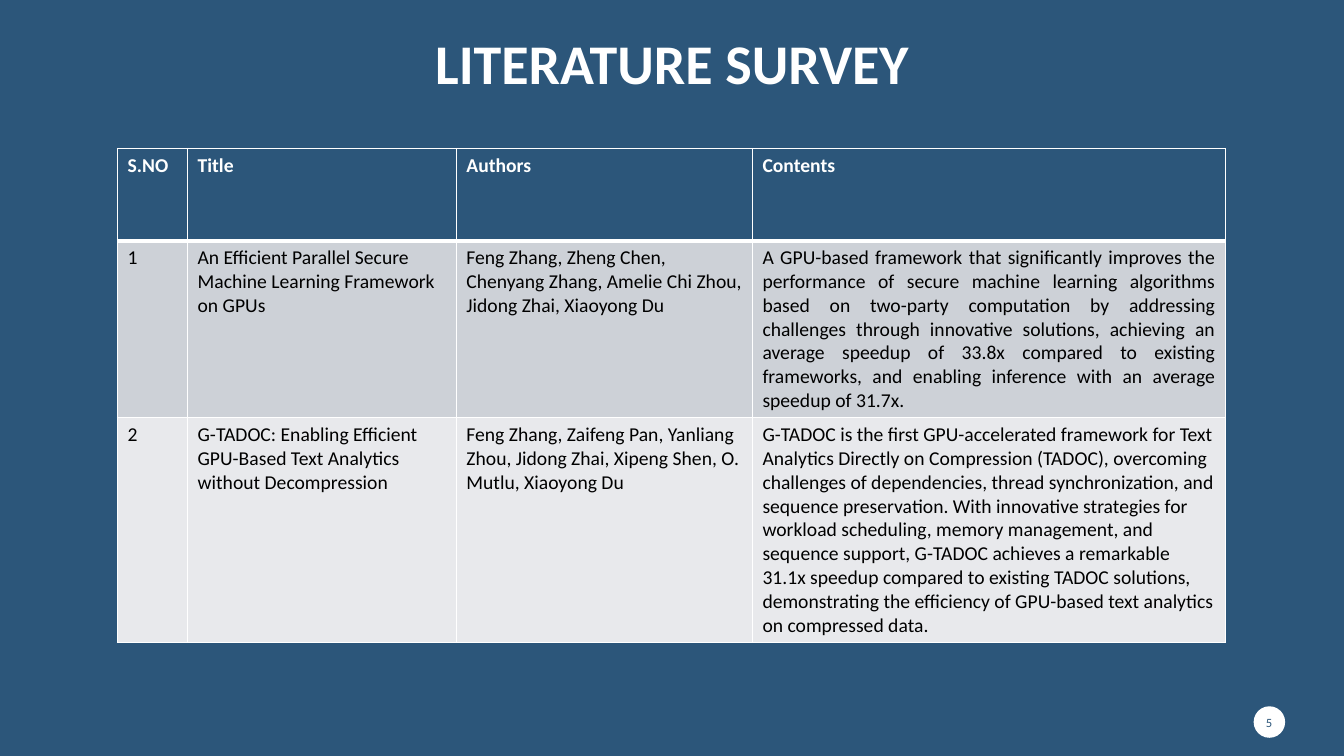
from lxml import etree
from pptx import Presentation
from pptx.dml.color import RGBColor
from pptx.enum.shapes import MSO_SHAPE
from pptx.enum.text import MSO_ANCHOR, PP_ALIGN
from pptx.oxml.ns import qn
from pptx.util import Pt

RECTANGLE, OVAL = MSO_SHAPE.RECTANGLE, MSO_SHAPE.OVAL
LEFT, CENTER, JUSTIFY = PP_ALIGN.LEFT, PP_ALIGN.CENTER, PP_ALIGN.JUSTIFY
MIDDLE, BOTTOM = MSO_ANCHOR.MIDDLE, MSO_ANCHOR.BOTTOM

COLORS = {
    "blue": "2C567A",
    "white": "FFFFFF",
    "black": "000000",
    "odd_row": "CDD1D7",
    "even_row": "E8E9EC",
}
COLUMN_WIDTHS = [50, 192, 211.5, 338]
ROW_HEIGHTS = [66, 126.5, 160.5]
SURVEY = [
    ["S.NO", "Title", "Authors", "Contents"],
    [
        "1",
        "An Efficient Parallel Secure Machine Learning Framework on GPUs",
        "Feng Zhang, Zheng Chen, Chenyang Zhang, Amelie Chi Zhou, Jidong Zhai, Xiaoyong Du",
        "A GPU-based framework that significantly improves the performance of secure machine "
        "learning algorithms based on two-party computation by addressing challenges through "
        "innovative solutions, achieving an average speedup of 33.8x compared to existing "
        "frameworks, and enabling inference with an average speedup of 31.7x.",
    ],
    [
        "2",
        "G-TADOC: Enabling Efficient GPU-Based Text Analytics without Decompression",
        "Feng Zhang, Zaifeng Pan, Yanliang Zhou, Jidong Zhai, Xipeng Shen, O. Mutlu, Xiaoyong Du",
        "G-TADOC is the first GPU-accelerated framework for Text Analytics Directly on "
        "Compression (TADOC), overcoming challenges of dependencies, thread synchronization, "
        "and sequence preservation. With innovative strategies for workload scheduling, memory "
        "management, and sequence support, G-TADOC achieves a remarkable 31.1x speedup compared "
        "to existing TADOC solutions, demonstrating the efficiency of GPU-based text analytics "
        "on compressed data.",
    ],
]


class SlideBuilder:
    def __init__(self, page, font="Calibri"):
        self.page = page
        self.font = font

    def color(self, name):
        return RGBColor.from_string(COLORS[name])

    def shape(self, kind, left, top, width, height, fill):
        shape = self.page.shapes.add_shape(kind, Pt(left), Pt(top), Pt(width), Pt(height))
        shape.shadow.inherit = False
        shape.fill.solid()
        shape.fill.fore_color.rgb = self.color(fill)
        shape.line.fill.background()

    def add_span(self, frame, text, size, color, bold=False, align=LEFT):
        para = frame.paragraphs[0]
        para.alignment = align
        span = para.add_run()
        span.text = text
        span.font.name = self.font
        span.font.size = Pt(size)
        span.font.bold = bold
        span.font.color.rgb = self.color(color)
        return para

    def text(self, left, top, width, height, text, size, color, anchor, bold=False, spacing=1):
        box = self.page.shapes.add_textbox(Pt(left), Pt(top), Pt(width), Pt(height))
        frame = box.text_frame
        frame.word_wrap = True
        frame.vertical_anchor = anchor
        if anchor == MIDDLE:
            frame.margin_left = frame.margin_right = frame.margin_top = frame.margin_bottom = 0
        para = self.add_span(frame, text, size, color, bold, CENTER)
        para.line_spacing = spacing

    def border(self, cell, side, width):
        properties = cell._tc.get_or_add_tcPr()
        line = etree.SubElement(properties, qn(f"a:ln{side}"), w=str(Pt(width)))
        fill = etree.SubElement(line, qn("a:solidFill"))
        etree.SubElement(fill, qn("a:srgbClr"), val=COLORS["white"])

    def table(self, left, top, widths, heights, rows):
        table = self.page.shapes.add_table(
            len(rows), len(widths), Pt(left), Pt(top), Pt(sum(widths)), Pt(sum(heights))
        ).table
        for column, width in zip(table.columns, widths):
            column.width = Pt(width)
        fills = ["blue", "odd_row", "even_row"]
        for r, (row, height) in enumerate(zip(rows, heights)):
            table.rows[r].height = Pt(height)
            for c, text in enumerate(row):
                cell = table.cell(r, c)
                for side in "LRTB":
                    heavy = (r, side) in [(0, "B"), (1, "T")]
                    self.border(cell, side, 3 if heavy else 1)
                cell.fill.solid()
                cell.fill.fore_color.rgb = self.color(fills[r])
                header = r == 0
                align = JUSTIFY if (r, c) == (1, 3) else LEFT
                color = "white" if header else "black"
                self.add_span(cell.text_frame, text, 14, color, header, align)


def main():
    deck = Presentation()
    deck.slide_width, deck.slide_height = Pt(960), Pt(540)
    slide = SlideBuilder(deck.slides.add_slide(deck.slide_layouts[6]))
    slide.shape(RECTANGLE, 0, 0, 960, 540, "blue")
    slide.shape(OVAL, 895.5, 504.5, 22.5, 22.5, "white")
    slide.text(66, 19.5, 828, 53, "LITERATURE SURVEY", 40, "white", BOTTOM, True, 0.9)
    slide.text(895, 508.5, 23, 14.5, "5", 9, "blue", MIDDLE)
    slide.table(84, 106, COLUMN_WIDTHS, ROW_HEIGHTS, SURVEY)
    deck.save("out.pptx")


if __name__ == "__main__":
    main()
